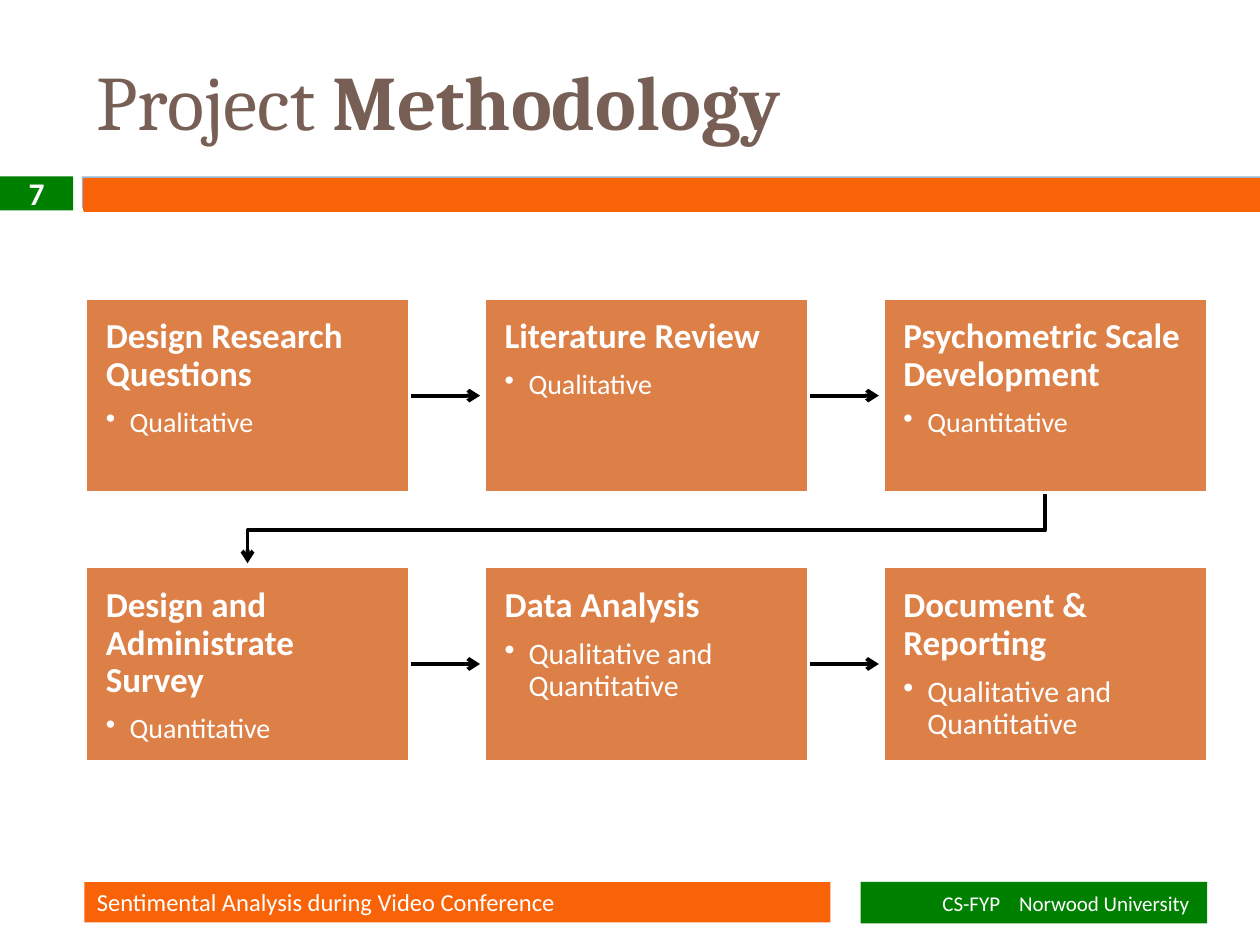
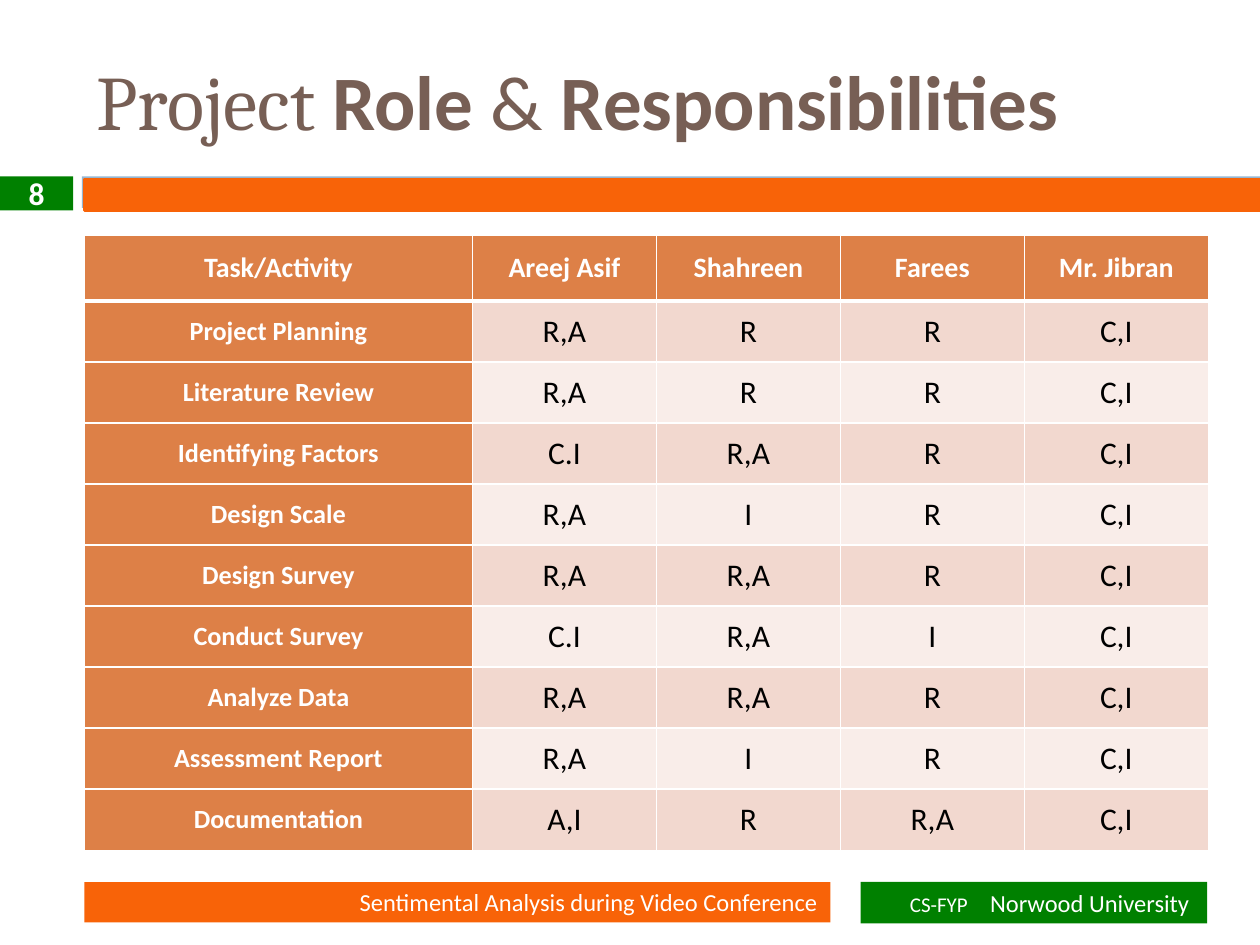
from lxml import etree
from pptx import Presentation
from pptx.dml.color import RGBColor
from pptx.enum.shapes import MSO_CONNECTOR, MSO_SHAPE
from pptx.enum.text import MSO_ANCHOR, PP_ALIGN
from pptx.oxml.ns import qn
from pptx.util import Inches, Pt

RECT, STRAIGHT = MSO_SHAPE.RECTANGLE, MSO_CONNECTOR.STRAIGHT
TOP, MIDDLE = MSO_ANCHOR.TOP, MSO_ANCHOR.MIDDLE
LEFT, CENTER, RIGHT = PP_ALIGN.LEFT, PP_ALIGN.CENTER, PP_ALIGN.RIGHT

WHITE = RGBColor(0xFF, 0xFF, 0xFF)
BLACK = RGBColor(0, 0, 0)
BROWN = RGBColor(0x77, 0x5F, 0x55)
ORANGE = RGBColor(0xF8, 0x63, 0x08)
CLAY = RGBColor(0xDD, 0x80, 0x47)
GREEN = RGBColor(0x00, 0x80, 0x00)
BLUE = RGBColor(0x94, 0xB6, 0xD2)
ROSE = RGBColor(0xF2, 0xD8, 0xCF)
PALE = RGBColor(0xF9, 0xED, 0xE9)

STEPS = [
    [("Design Research Questions", "Qualitative", 16),
     ("Literature Review", "Qualitative", 16),
     ("Psychometric Scale Development", "Quantitative", 16)],
    [("Design and Administrate Survey", "Quantitative", 16),
     ("Data Analysis", "Qualitative and Quantitative", 17),
     ("Document & Reporting", "Qualitative and Quantitative", 17)],
]
ROLES = [
    ["Task/Activity", "Areej Asif", "Shahreen", "Farees", "Mr. Jibran"],
    ["Project Planning", "R,A", "R", "R", "C,I"],
    ["Literature Review", "R,A", "R", "R", "C,I"],
    ["Identifying Factors", "C.I", "R,A", "R", "C,I"],
    ["Design Scale", "R,A", "I", "R", "C,I"],
    ["Design Survey", "R,A", "R,A", "R", "C,I"],
    ["Conduct Survey", "C.I", "R,A", "I", "C,I"],
    ["Analyze Data", "R,A", "R,A", "R", "C,I"],
    ["Assessment Report", "R,A", "I", "R", "C,I"],
    ["Documentation", "A,I", "R", "R,A", "C,I"],
]


class Deck:
    """Holds the shared style and the current slide."""

    def __init__(self):
        self.prs = Presentation()
        self.prs.slide_width, self.prs.slide_height = Inches(10), Inches(7.5)
        self.slide = None

    def page(self, number, title, align, foot, gap):
        self.slide = self.prs.slides.add_slide(self.prs.slide_layouts[6])
        self.box(0.65, 1.4, 9.35, 0.25, BLUE)
        self.box(0.67, 1.42, 9.33, 0.25, ORANGE, ORANGE)
        area = self.slide.shapes.add_textbox(
            Inches(0.67), Inches(0.25), Inches(8.33), Inches(1.08))
        self.frame(area.text_frame)
        self.text(area.text_frame.paragraphs[0], title, size=44, color=BROWN)
        bar = self.box(0.67, 7, 5.92, 0.32, ORANGE)
        topic = "Sentimental Analysis during Video Conference"
        self.text(bar.paragraphs[0], [(topic, {})], align, size=14)
        bar = self.box(6.83, 7, 2.75, 0.33, GREEN)
        bar.margin_right = Inches(0.14)
        runs = [("CS-FYP", {}), (" ", {"size": foot, "gap": gap}),
                ("Norwood University", {"size": foot})]
        self.text(bar.paragraphs[0], runs, RIGHT, size=12)
        tab = self.box(0, 1.4, 0.58, 0.27, GREEN)
        self.text(tab.paragraphs[0], [(str(number), {})], CENTER, size=18, bold=True)

    def frame(self, frame, anchor=MIDDLE, **attrs):
        attrs = {"word_wrap": True, "vertical_anchor": anchor, **attrs}
        for name, value in attrs.items():
            setattr(frame, name, value)

    def text(self, para, runs, align=LEFT, **base):
        para.alignment = align
        for words, extra in runs:
            run = para.add_run()
            run.text = words
            style = {"name": "Calibri", "color": WHITE, "bold": False, **base, **extra}
            run.font.color.rgb = style.pop("color")
            style["size"] = Pt(style["size"])
            if "gap" in style:
                run._r.get_or_add_rPr().set("spc", str(style.pop("gap")))
            for name, value in style.items():
                setattr(run.font, name, value)

    def box(self, x, y, w, h, fill, line=None):
        shape = self.slide.shapes.add_shape(
            RECT, Inches(x), Inches(y), Inches(w), Inches(h))
        shape.shadow.inherit = False
        shape.fill.solid()
        shape.fill.fore_color.rgb = fill
        if line is None:
            shape.line.fill.background()
        else:
            shape.line.color.rgb, shape.line.width = line, Pt(1.5)
        self.frame(shape.text_frame)
        return shape.text_frame

    def card(self, x, y, w, h, head, note, size):
        frame = self.box(x, y, w, h, CLAY, WHITE)
        sides = ("left", "top", "right", "bottom")
        self.frame(frame, TOP, **{f"margin_{side}": Inches(0.16) for side in sides})
        first, item = frame.paragraphs[0], frame.add_paragraph()
        first.line_spacing = item.line_spacing = 0.9
        first.space_after = Pt(8)
        self.text(first, [(head, {})], size=20, bold=True)
        self.text(item, [(note, {})], size=size)
        props = item._p.get_or_add_pPr()
        props.set("marL", str(Inches(0.19)))
        props.set("indent", str(-Inches(0.19)))
        etree.SubElement(props, qn("a:buChar"), char="•")

    def ink(self, shape):
        shape.line.color.rgb, shape.line.width = BLACK, Pt(2.25)
        line = shape._element.spPr.find(qn("a:ln"))
        etree.SubElement(line, qn("a:tailEnd"), type="arrow")

    def arrow(self, x, y, w):
        line = self.slide.shapes.add_connector(
            STRAIGHT, Inches(x), Inches(y), Inches(x + w), Inches(y))
        self.ink(line)
        etree.SubElement(line._element.spPr, qn("a:effectLst"))

    def bend(self, points):
        start, *rest = [(Inches(x), Inches(y)) for x, y in points]
        route = self.slide.shapes.build_freeform(*start)
        route.add_line_segments(rest, close=False)
        shape = route.convert_to_shape()
        shape.fill.background()
        self.ink(shape)
        shape.shadow.inherit = False

    def edge(self, cell, top, bottom):
        props = cell._tc.get_or_add_tcPr()
        widths = {"lnL": 1, "lnR": 1, "lnT": top, "lnB": bottom}
        for spot, (tag, width) in enumerate(widths.items()):
            line = etree.Element(qn(f"a:{tag}"), w=str(Pt(width)))
            fill = etree.SubElement(line, qn("a:solidFill"))
            etree.SubElement(fill, qn("a:srgbClr"), val=str(WHITE))
            props.insert(spot, line)

    def table(self, x, y, cols, rows, data):
        grid = self.slide.shapes.add_table(
            len(rows), len(cols), Inches(x), Inches(y),
            Inches(sum(cols)), Inches(sum(rows))).table
        for col, width in zip(grid.columns, cols):
            col.width = Inches(width)
        for r, (row, height) in enumerate(zip(grid.rows, rows)):
            row.height = Inches(height)
            for c, cell in enumerate(row.cells):
                lead = r == 0 or c == 0
                cell.vertical_anchor = MIDDLE
                cell.margin_left = cell.margin_right = Inches(0.07)
                cell.margin_top = cell.margin_bottom = 0
                cell.fill.solid()
                cell.fill.fore_color.rgb = CLAY if lead else ROSE if r % 2 else PALE
                self.edge(cell, 3 if r == 1 else 1, 3 if r == 0 else 1)
                size = 16 if r == 0 else 15 if c == 0 else 18
                self.text(cell.text_frame.paragraphs[0], [(data[r][c], {})], CENTER,
                          size=size, bold=lead, color=WHITE if lead else BLACK)


def main():
    deck = Deck()
    serif = {"name": "Cambria"}
    bold = {"bold": True}

    deck.page(7, [("Project ", serif), ("Methodology", {**serif, **bold})],
              LEFT, 12, 800)
    wide, high, left, top = 2.57, 1.54, 0.68, 2.37
    across, down = 6.33 / 2, 2.13
    for r, steps in enumerate(STEPS):
        for c, step in enumerate(steps):
            x, y = left + c * across, top + r * down
            if c < len(steps) - 1:
                deck.arrow(x + wide + 0.01, y + high / 2, 0.55)
            deck.card(x, y, wide, high, *step)
    start, end = left + 2 * across + wide / 2, left + wide / 2
    deck.bend([(start, 3.92), (start, 4.21), (end, 4.21), (end, 4.47)])

    deck.page(8, [("Project ", serif), ("Role", bold), (" & ", {}),
                  ("Responsibilities", bold)], RIGHT, 14, 950)
    deck.table(0.67, 1.87, [3.08] + [1.46] * 4, [0.52] + [4.36 / 9] * 9, ROLES)
    deck.prs.save("out.pptx")


if __name__ == "__main__":
    main()
